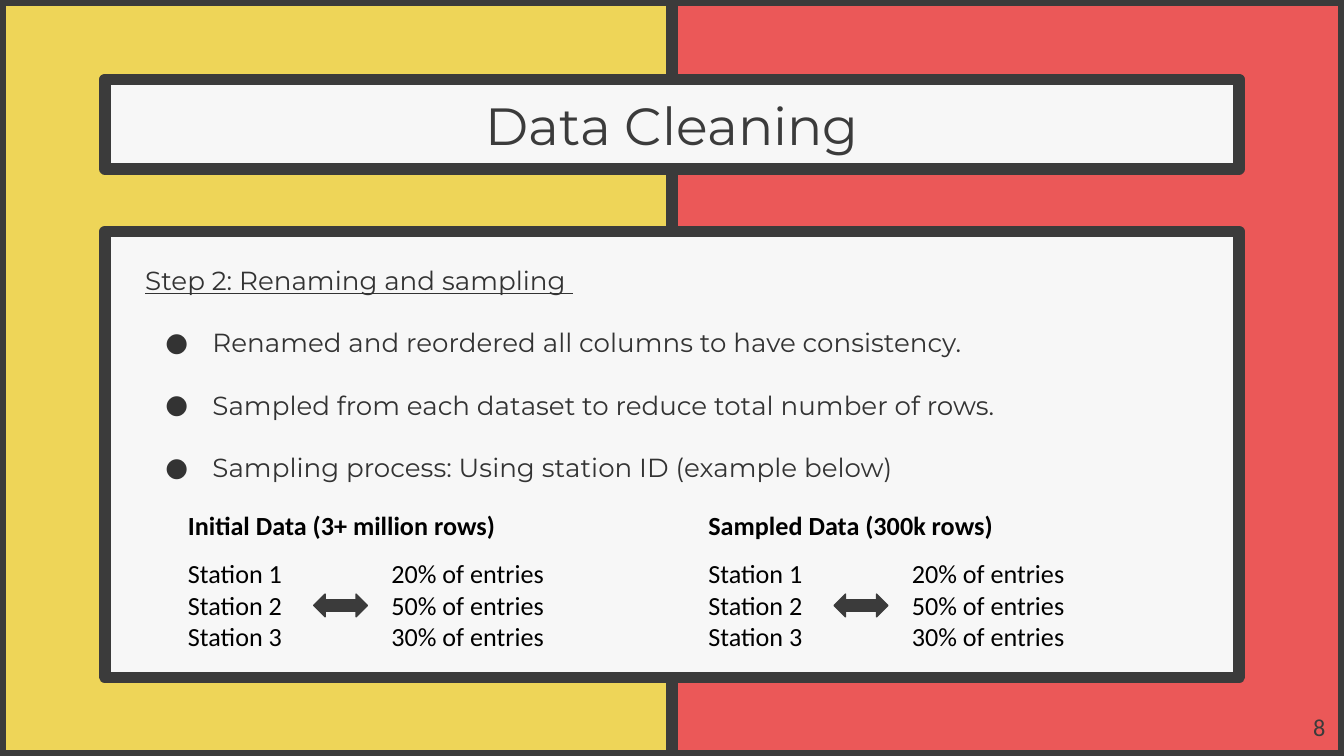
from lxml import etree
from pptx import Presentation
from pptx.dml.color import RGBColor
from pptx.enum.shapes import MSO_SHAPE
from pptx.enum.text import MSO_ANCHOR, MSO_AUTO_SIZE, PP_ALIGN
from pptx.oxml.ns import qn
from pptx.util import Pt

RECT, ARROW = MSO_SHAPE.RECTANGLE, MSO_SHAPE.LEFT_RIGHT_ARROW
TOP, MIDDLE = MSO_ANCHOR.TOP, MSO_ANCHOR.MIDDLE
LEFT, CENTER, RIGHT = PP_ALIGN.LEFT, PP_ALIGN.CENTER, PP_ALIGN.RIGHT
NO_FIT = MSO_AUTO_SIZE.NONE

WIDTH, HEIGHT = 720, 405
INSET = 7.2
YELLOW, RED, PAPER = "EED558", "EB5858", "F7F7F7"
DARK, BODY, BLACK = "3B3B3B", "333333", "000000"
HEADING = "Step 2: Renaming and sampling "
BULLETS = [
    "Renamed and reordered all columns to have consistency.",
    "Sampled from each dataset to reduce total number of rows.",
    "Sampling process: Using station ID (example below)",
]
STATIONS = ["Station 1", "Station 2", "Station 3"]
SHARES = ["20% of entries", "50% of entries", "30% of entries"]
SAMPLES = [(93.6, 211, "Initial Data (3+ million rows)"),
           (372.4, 203, "Sampled Data (300k rows)")]


def color(value):
    return RGBColor.from_string(value)


def place(sp, x, y, w, h):
    sp.left, sp.top, sp.width, sp.height = Pt(x), Pt(y), Pt(w), Pt(h)


def paint(sp, fill, line_width):
    sp.fill.solid()
    sp.fill.fore_color.rgb = color(fill)
    sp.line.color.rgb = color(DARK)
    sp.line.width = Pt(line_width)


def add_shape(s, kind, x, y, w, h, fill, line_width=6):
    sp = s.shapes.add_shape(kind, Pt(x), Pt(y), Pt(w), Pt(h))
    sp.shadow.inherit = False
    paint(sp, fill, line_width)


def set_bullet(p, char):
    """Give the paragraph a hanging bullet, or none when char is empty."""
    pPr = p._p.get_or_add_pPr()
    pPr.set("marL", str(Pt(36) if char else 0))
    pPr.set("indent", str(Pt(-25.2) if char else 0))
    if char:
        clr = etree.SubElement(pPr, qn("a:buClr"))
        etree.SubElement(clr, qn("a:srgbClr")).set("val", BODY)
        etree.SubElement(pPr, qn("a:buFont")).set("typeface", "Montserrat")
        etree.SubElement(pPr, qn("a:buChar")).set("char", char)
    else:
        etree.SubElement(pPr, qn("a:buNone"))


def write(sp, lines, size=14, font="Calibri", rgb=BLACK, bold=False,
          align=LEFT, anchor=TOP, gap=0):
    """Fill the frame with one paragraph per line, gap points apart."""
    tf = sp.text_frame
    tf.word_wrap = True
    tf.auto_size = NO_FIT
    tf.vertical_anchor = anchor
    tf.margin_left = tf.margin_right = Pt(INSET)
    tf.margin_top = tf.margin_bottom = Pt(INSET)
    for i, line in enumerate(lines):
        p = tf.add_paragraph() if i else tf.paragraphs[0]
        p.alignment = align
        p.space_before = Pt(gap if i else 0)
        r = p.add_run()
        r.text = line
        r.font.size = Pt(size)
        r.font.name = font
        r.font.bold = bold
        r.font.color.rgb = color(rgb)
    return tf.paragraphs


def add_text(s, x, y, w, h, lines, **fmt):
    write(s.shapes.add_textbox(Pt(x), Pt(y), Pt(w), Pt(h)), lines, **fmt)


def add_backdrop(s):
    s.background.fill.solid()
    s.background.fill.fore_color.rgb = color(YELLOW)
    for i, fill in enumerate((YELLOW, RED)):
        add_shape(s, RECT, i * WIDTH / 2, 0, WIDTH / 2, HEIGHT, fill)
    add_shape(s, RECT, 56.2, 124, 607.6, 239, PAPER)


def add_title(s):
    sp = s.shapes.title
    s.shapes._spTree.append(sp._element)  # bring in front of the backdrop
    place(sp, 56.2, 42.4, 607.6, 48.2)
    paint(sp, PAPER, 6)
    write(sp, ["Data Cleaning"], size=28, font="Montserrat", rgb=DARK,
          align=CENTER, anchor=MIDDLE)


def add_body(s):
    sp = s.placeholders[1]
    s.shapes._spTree.append(sp._element)
    place(sp, 70.6, 134.6, 555.8, 133.2)
    paragraphs = write(sp, [HEADING, *BULLETS], font="Montserrat", rgb=BODY,
                       gap=16.5)
    for i, p in enumerate(paragraphs):
        set_bullet(p, "●" if i else "")
    paragraphs[0].runs[0].font.underline = True


def add_sample(s, x, heading_width, heading):
    add_text(s, x, 265.7, heading_width, 31.7, [heading], bold=True)
    add_text(s, x, 291.6, 80, 65.5, STATIONS)
    add_shape(s, ARROW, x + 74.5, 318.3, 28.8, 12.2, DARK, line_width=0.75)
    add_text(s, x + 109, 291.6, 111, 65.5, SHARES)


def main():
    prs = Presentation()
    prs.slide_width, prs.slide_height = Pt(WIDTH), Pt(HEIGHT)
    s = prs.slides.add_slide(prs.slide_layouts[1])
    add_backdrop(s)
    add_title(s)
    add_body(s)
    for sample in SAMPLES:
        add_sample(s, *sample)
    add_text(s, 674, 373.7, 43.2, 31, ["8"], size=13, rgb=DARK,
             align=RIGHT, anchor=MIDDLE)
    prs.save("out.pptx")


if __name__ == "__main__":
    main()
